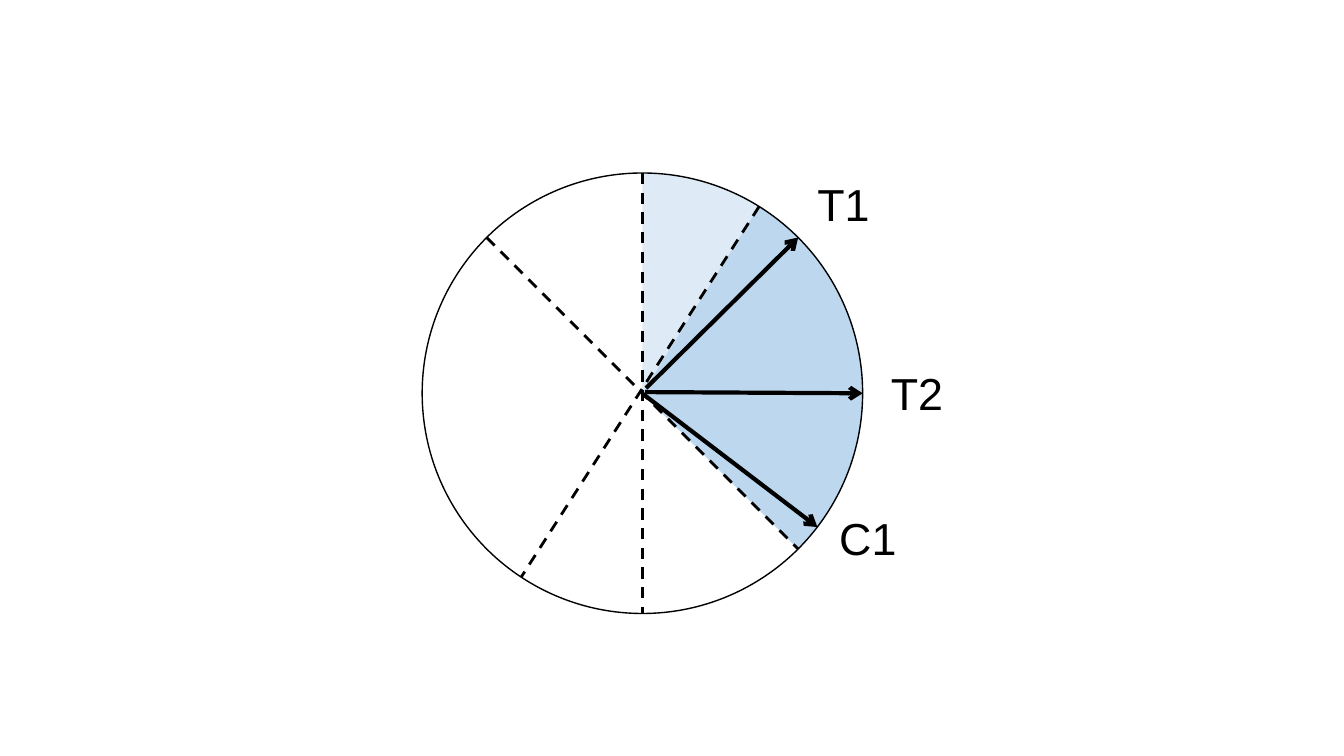
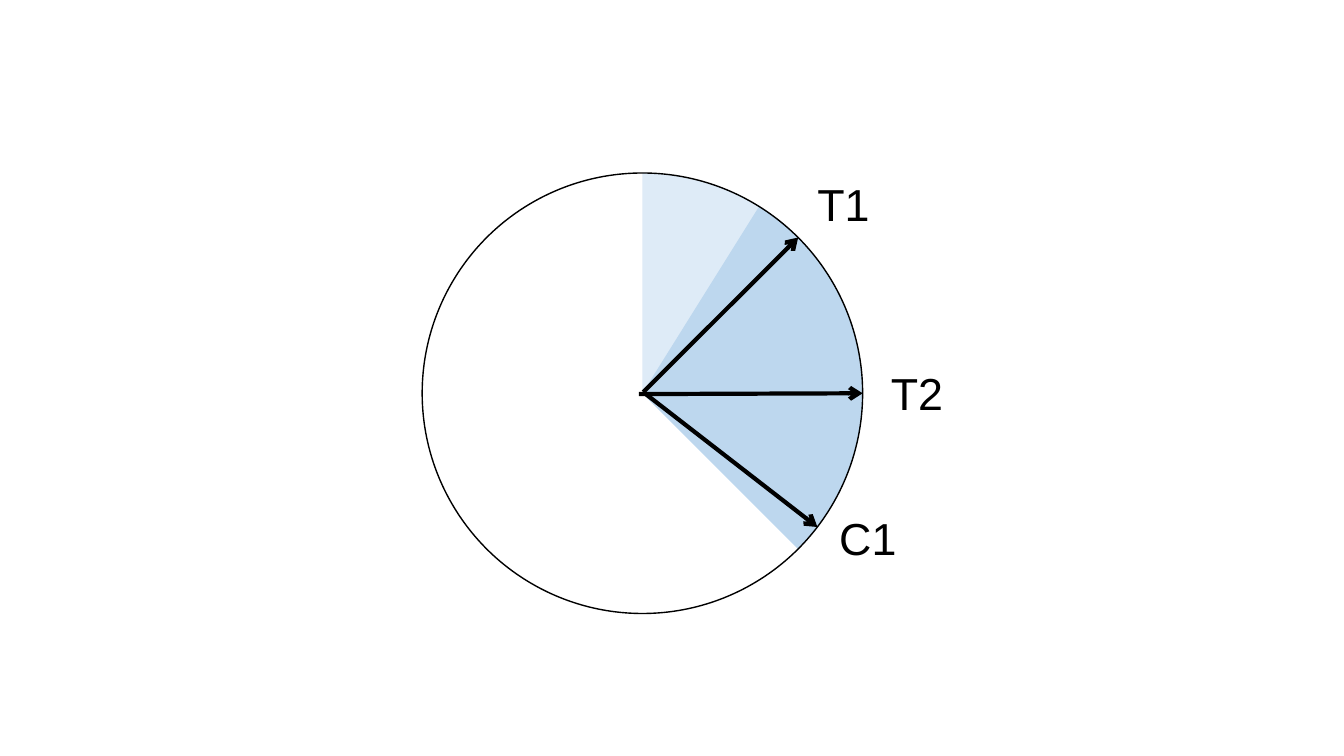
"""Build two slides of a circle with shaded sectors and labelled arrows."""
from math import cos, radians, sin

from lxml.etree import SubElement
from pptx import Presentation
from pptx.dml.color import RGBColor
from pptx.enum.dml import MSO_LINE
from pptx.enum.shapes import MSO_CONNECTOR, MSO_SHAPE
from pptx.enum.text import MSO_AUTO_SIZE
from pptx.oxml.ns import qn
from pptx.util import Cm, Pt

BLACK = RGBColor(0x00, 0x00, 0x00)
PALE = RGBColor(0xDE, 0xEB, 0xF7)
BLUE = RGBColor(0xBD, 0xD7, 0xEE)
FONT = "Arial"

HUB = (16.19, 9.91)
RADIUS = 5.55
SECTORS = [(270, 45, PALE), (302, 45, BLUE)]
LABELS = [
    ("T1", 20.35, 4.34, 1.85),
    ("T2", 22.2, 9.09, 1.85),
    ("C1", 20.9, 12.75, 2.24),
]
ANGLES = [-45, 0, 37.4]
DIVIDERS = [(-90, 90), (-135, 45), (-58, 123.4)]
SLIDES = [
    {"starts": [(16.28, 9.78), (16.26, 9.88), (16.18, 9.91)],
     "dividers": DIVIDERS},
    {"starts": [(16.21, 9.88), (16.1, 9.93), (16.21, 9.88)],
     "dividers": []},
]


def rim(angle):
    turn = radians(angle)
    return HUB[0] + RADIUS * cos(turn), HUB[1] + RADIUS * sin(turn)


def add_disc(slide, kind):
    left, top = (mid - RADIUS for mid in HUB)
    disc = slide.shapes.add_shape(
        kind, Cm(left), Cm(top), Cm(2 * RADIUS), Cm(2 * RADIUS))
    disc.shadow.inherit = False
    return disc


def add_sector(slide, start, end, color):
    sector = add_disc(slide, MSO_SHAPE.PIE)
    for i, angle in enumerate((start, end)):
        sector.adjustments[i] = angle * 0.6
    sector.fill.solid()
    sector.fill.fore_color.rgb = color
    sector.line.fill.background()


def add_circle(slide):
    circle = add_disc(slide, MSO_SHAPE.OVAL)
    circle.fill.background()
    circle.line.color.rgb = BLACK
    circle.line.width = Pt(1)


def add_line(slide, start, end, width):
    line = slide.shapes.add_connector(
        MSO_CONNECTOR.STRAIGHT, *(Cm(n) for n in (*start, *end)))
    line.line.color.rgb = BLACK
    line.line.width = Pt(width)
    SubElement(line._element.spPr, qn("a:effectLst"))
    return line


def add_arrow(slide, start, end):
    arrow = add_line(slide, start, end, 3)
    SubElement(arrow.line._get_or_add_ln(), qn("a:tailEnd"), type="arrow")


def add_label(slide, text, left, top, width):
    box = slide.shapes.add_textbox(Cm(left), Cm(top), Cm(width), Cm(1.63))
    frame = box.text_frame
    frame.word_wrap = True
    frame.auto_size = MSO_AUTO_SIZE.SHAPE_TO_FIT_TEXT
    para = frame.paragraphs[0]
    para.text = text
    para.font.name = FONT
    para.font.size = Pt(32)
    para.font.color.rgb = BLACK


def add_wheel(deck, starts, dividers):
    slide = deck.slides.add_slide(deck.slide_layouts[6])
    for sector in SECTORS:
        add_sector(slide, *sector)
    add_circle(slide)
    for start, end in dividers:
        line = add_line(slide, rim(start), rim(end), 2)
        line.line.dash_style = MSO_LINE.DASH
    for start, angle in zip(starts, ANGLES):
        add_arrow(slide, start, rim(angle))
    for label in LABELS:
        add_label(slide, *label)


def main():
    deck = Presentation()
    deck.slide_width, deck.slide_height = Cm(33.87), Cm(19.05)
    for content in SLIDES:
        add_wheel(deck, **content)
    deck.save("out.pptx")


if __name__ == "__main__":
    main()
